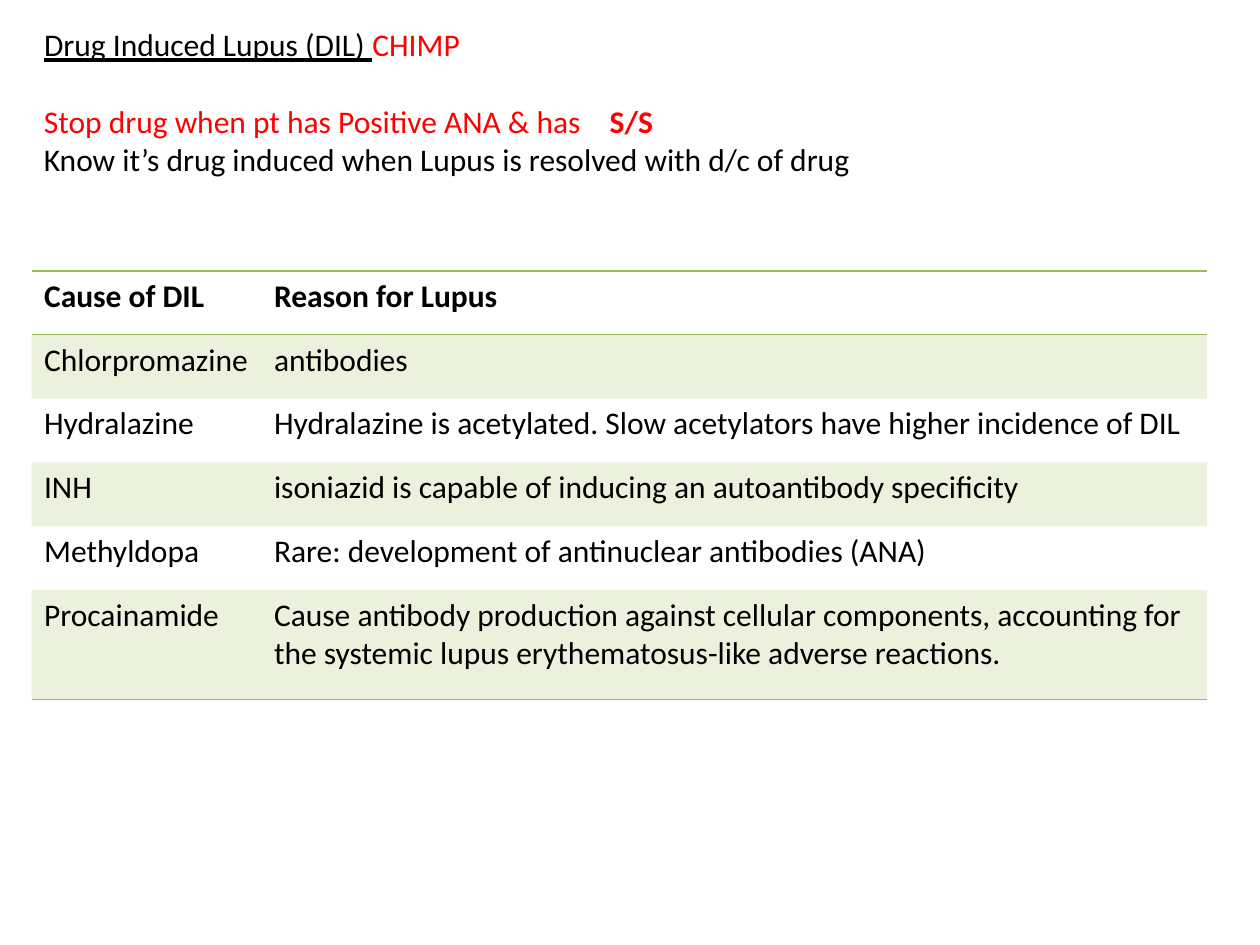
from lxml.etree import SubElement
from pptx import Presentation
from pptx.dml.color import RGBColor
from pptx.enum.text import MSO_ANCHOR, MSO_AUTO_SIZE, PP_ALIGN
from pptx.oxml.ns import qn
from pptx.util import Pt

COLORS = {"text": "000000", "alert": "FF0000", "green": "9BBB59"}
FONT = "Calibri"
NO_STYLE_NO_GRID = "{2D5ABB26-0587-4C30-8999-92F81FD0307C}"
LEFT = 18

CAUSES = [
    ("Cause of DIL", "Reason for Lupus"),
    ("Chlorpromazine", "antibodies"),
    ("Hydralazine", "Hydralazine is acetylated. Slow acetylators have higher incidence of DIL"),
    ("INH", "isoniazid is capable of inducing an autoantibody specificity"),
    ("Methyldopa", "Rare: development of antinuclear antibodies (ANA)"),
    ("Procainamide", "Cause antibody production against cellular components, accounting for "
                     "the systemic lupus erythematosus-like adverse reactions."),
]


def add_span(para, text, color="text", bold=False, underline=False):
    span = para.add_run()
    span.text = text
    span.font.name = FONT
    span.font.size = Pt(18)
    span.font.bold = bold
    span.font.underline = underline
    span.font.color.rgb = RGBColor.from_string(COLORS[color])


def add_tab_stop(para, position):
    tabs = SubElement(para._p.get_or_add_pPr(), qn("a:tabLst"))
    SubElement(tabs, qn("a:tab"), pos=str(Pt(position)), algn="l")


def format_frame(frame):
    frame.word_wrap = True
    frame.auto_size = MSO_AUTO_SIZE.NONE
    frame.vertical_anchor = MSO_ANCHOR.TOP


def fill_title(title):
    title.left, title.top, title.width, title.height = Pt(LEFT), Pt(10.8), Pt(660), Pt(29)
    format_frame(title.text_frame)
    para = title.text_frame.paragraphs[0]
    para.alignment = PP_ALIGN.LEFT
    add_span(para, "Drug Induced Lupus (DIL) ", underline=True)
    add_span(para, "CHIMP", "alert")


def add_advice(page):
    box = page.shapes.add_textbox(Pt(LEFT), Pt(54.6), Pt(660), Pt(51))
    format_frame(box.text_frame)
    stop = box.text_frame.paragraphs[0]
    add_tab_stop(stop, 323.3)
    add_span(stop, "Stop drug when pt has Positive ANA & has\t", "alert")
    add_span(stop, "S/S", "alert", bold=True)
    add_span(box.text_frame.add_paragraph(),
             "Know it’s drug induced when Lupus is resolved with d/c of drug")


def add_border(cell, side):
    line = SubElement(cell._tc.get_or_add_tcPr(), qn(f"a:{side}"), w=str(Pt(1)))
    fill = SubElement(line, qn("a:solidFill"))
    SubElement(fill, qn("a:srgbClr"), val=COLORS["green"])


def fill_band(cell):
    cell.fill.solid()
    cell.fill.fore_color.rgb = RGBColor.from_string(COLORS["green"])
    color = cell._tc.tcPr.find(f"{qn('a:solidFill')}/{qn('a:srgbClr')}")
    SubElement(color, qn("a:alpha"), val="20000")


def add_cause_table(page):
    widths = [131.4, 540.4]
    heights = [36.5] * 5 + [62.6]
    frame = page.shapes.add_table(len(CAUSES), 2, Pt(LEFT), Pt(154.8),
                                  Pt(sum(widths)), Pt(sum(heights)))
    frame._element.find(f".//{qn('a:tableStyleId')}").text = NO_STYLE_NO_GRID
    table = frame.table
    for column, width in zip(table.columns, widths):
        column.width = Pt(width)
    last = len(CAUSES) - 1
    for index, texts in enumerate(CAUSES):
        table.rows[index].height = Pt(heights[index])
        for cell, text in zip(table.rows[index].cells, texts):
            add_span(cell.text_frame.paragraphs[0], text, bold=index == 0)
            if index == 0:
                add_border(cell, "lnT")
            if index in (0, last):
                add_border(cell, "lnB")
            if index % 2:
                fill_band(cell)
            else:
                cell.fill.background()


def main():
    deck = Presentation()
    deck.slide_width, deck.slide_height = Pt(720), Pt(540)
    page = deck.slides.add_slide(deck.slide_layouts[5])
    fill_title(page.shapes.title)
    add_advice(page)
    add_cause_table(page)
    deck.save("out.pptx")


if __name__ == "__main__":
    main()
